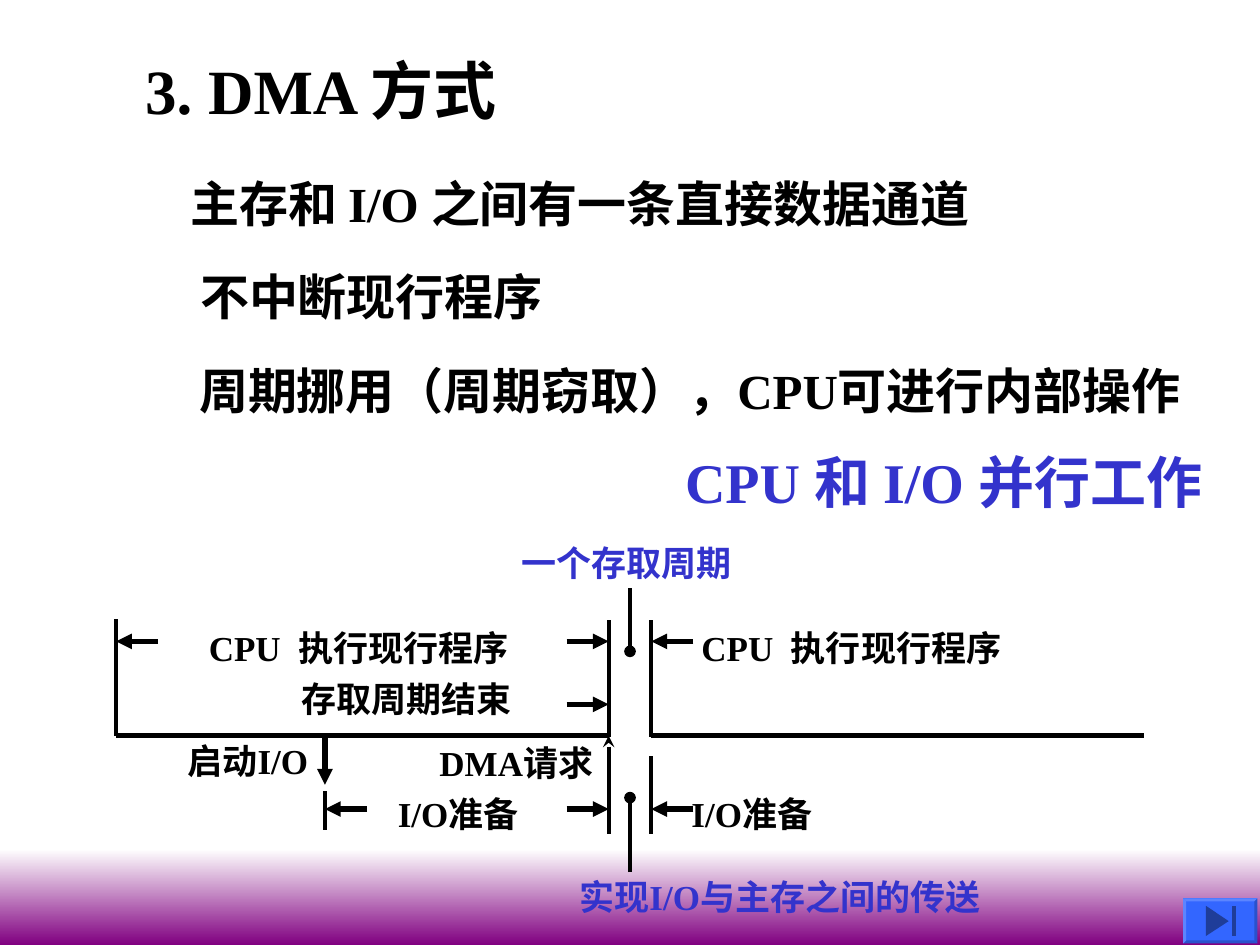
import lxml.etree
import pptx
import pptx.dml.color
import pptx.enum.shapes
import pptx.enum.text
import pptx.oxml.ns
import pptx.util

Cm = pptx.util.Cm
Pt = pptx.util.Pt

THEME = {
    "font": "Times New Roman",
    "ink": "000000", "accent": "3333CC", "band": ("FFFFFF", "800080"),
    "button": "3366FF", "button_light": "5C85FF", "button_dark": "2952CC",
    "button_icon": "1F3D99",
    "title": 36, "conclusion": 32, "body": 28, "label": 20,
    "thick": 3, "thin": 2.25,
}

TITLE = "3. DMA 方式"
POINTS = [
    ("主存和 I/O 之间有一条直接数据通道", 0),
    ("不中断现行程序", 0.2),
    ("周期挪用（周期窃取），CPU可进行内部操作", 0.18),
]
CONCLUSION = "CPU 和 I/O 并行工作"

LABELS = [
    ("存取周期结束", 5.82, 13.54, 4.75, "ink"),
    ("CPU  执行现行程序", 3.96, 12.5, 6.73, "ink"),
    ("CPU  执行现行程序", 13.89, 12.5, 6.73, "ink"),
    ("DMA请求", 8.61, 14.83, 3.78, "ink"),
    ("启动I/O", 3.53, 14.78, 3.1, "ink"),
    ("I/O准备", 7.77, 15.85, 3.1, "ink"),
    ("I/O准备", 13.69, 15.85, 3.1, "ink"),
    ("一个存取周期", 10.26, 10.8, 4.75, "accent"),
    ("实现I/O与主存之间的传送", 11.43, 17.53, 9.09, "accent"),
]

BEGIN, START_IO, REQUEST, CYCLE, RESUME, END = 2.34, 6.55, 12.27, 12.7, 13.13, 23.06
AXIS, CPU_ROW, CYCLE_END_ROW, IO_ROW = 14.83, 12.93, 14.2, 16.31
ARROW = 0.85

HORIZONTALS = [(BEGIN, REQUEST), (RESUME, END)]
VERTICALS = [
    (BEGIN, 12.48, AXIS, {}),
    (REQUEST, 12.5, 14.86, {}),
    (RESUME, 12.5, 14.86, {}),
    (REQUEST, AXIS, 16.81, {"head": "stealth"}),
    (RESUME, 15.24, 16.81, {}),
    (START_IO, 15.95, 16.74, {}),
    (CYCLE, 11.86, 13.13, {"tail": "oval"}),
    (CYCLE, 17.58, 16.08, {"tail": "oval"}),
    (START_IO, 14.78, 15.82, {"tail": "triangle", "width": "thick"}),
]
BOUNDARY_ARROWS = [
    (BEGIN, CPU_ROW, 1), (REQUEST, CPU_ROW, -1), (RESUME, CPU_ROW, 1),
    (REQUEST, CYCLE_END_ROW, -1),
    (START_IO, IO_ROW, 1), (REQUEST, IO_ROW, -1), (RESUME, IO_ROW, 1),
]


def color(name):
    return pptx.dml.color.RGBColor.from_string(THEME.get(name, name))


def write_text(paragraph, text, size="label", ink="ink", indent=0):
    properties = paragraph._p.get_or_add_pPr()
    properties.set("marL", str(Cm(indent)))
    properties.set("indent", "0")
    lxml.etree.SubElement(properties, pptx.oxml.ns.qn("a:buNone"))
    paragraph.alignment = pptx.enum.text.PP_ALIGN.LEFT
    paragraph.space_before = Pt(0)
    run = paragraph.add_run()
    run.text = text
    run.font.name = THEME["font"]
    run.font.size = Pt(THEME[size])
    run.font.bold = True
    run.font.color.rgb = color(ink)


def prepare_frame(shape, wrap=False):
    frame = shape.text_frame
    frame.word_wrap = wrap
    frame.auto_size = pptx.enum.text.MSO_AUTO_SIZE.NONE
    frame.vertical_anchor = pptx.enum.text.MSO_ANCHOR.TOP
    return frame


def place(shape, left, top, width, height):
    shape.left, shape.top = Cm(left), Cm(top)
    shape.width, shape.height = Cm(width), Cm(height)


def add_label(slide, text, left, top, width, height=1.12, **style):
    box = slide.shapes.add_textbox(Cm(left), Cm(top), Cm(width), Cm(height))
    write_text(prepare_frame(box).paragraphs[0], text, **style)


def add_line(slide, x1, y1, x2, y2, width="thin", head=None, tail=None):
    connector = slide.shapes.add_connector(
        pptx.enum.shapes.MSO_CONNECTOR.STRAIGHT, Cm(x1), Cm(y1), Cm(x2), Cm(y2))
    connector.line.color.rgb = color("ink")
    connector.line.width = Pt(THEME[width])
    line = connector.line._get_or_add_ln()
    for tag, kind in (("a:headEnd", head), ("a:tailEnd", tail)):
        if kind:
            lxml.etree.SubElement(line, pptx.oxml.ns.qn(tag), type=kind)
    lxml.etree.SubElement(connector._element.spPr, pptx.oxml.ns.qn("a:effectLst"))


def add_polygon(slide, points, fill):
    corners = [(Cm(x), Cm(y)) for x, y in points]
    builder = slide.shapes.build_freeform(*corners[0], scale=1.0)
    builder.add_line_segments(corners[1:], close=True)
    shape = builder.convert_to_shape()
    shape.shadow.inherit = False
    shape.fill.solid()
    shape.fill.fore_color.rgb = color(fill)
    shape.line.fill.background()


def rectangle(left, top, right, bottom):
    return [(left, top), (right, top), (right, bottom), (left, bottom)]


def add_end_button(slide):
    outer = rectangle(23.85, 18.11, 25.35, 19.02)
    inner = rectangle(23.91, 18.17, 25.29, 18.96)
    add_polygon(slide, outer, "button")
    shades = ["button_light", "button_dark", "button_dark", "button_light"]
    for side, shade in enumerate(shades):
        following = (side + 1) % 4
        add_polygon(slide, [outer[side], outer[following],
                            inner[following], inner[side]], shade)
    add_polygon(slide, [(24.77, 18.57), (24.31, 18.87), (24.31, 18.26)], "button_icon")
    add_polygon(slide, rectangle(24.84, 18.26, 24.92, 18.87), "button_icon")


def add_band(slide):
    band = slide.shapes.add_shape(
        pptx.enum.shapes.MSO_SHAPE.RECTANGLE, 0, Cm(17.12), Cm(25.4), Cm(1.93))
    band.shadow.inherit = False
    band.line.fill.background()
    band.fill.gradient()
    band.fill.gradient_angle = 270
    for stop, shade in zip(band.fill.gradient_stops, THEME["band"]):
        stop.color.rgb = color(shade)


def add_timeline(slide):
    for left, right in HORIZONTALS:
        add_line(slide, left, AXIS, right, AXIS, width="thick")
    for x, start, finish, style in VERTICALS:
        add_line(slide, x, start, x, finish, **style)
    for x, y, side in BOUNDARY_ARROWS:
        add_line(slide, x + side * ARROW, y, x, y, width="thick", tail="triangle")
    for text, left, top, width, ink in LABELS:
        add_label(slide, text, left, top, width, ink=ink)


def main():
    presentation = pptx.Presentation()
    presentation.slide_width, presentation.slide_height = Cm(25.4), Cm(19.05)
    slide = presentation.slides.add_slide(presentation.slide_layouts[1])
    add_band(slide)

    title, body = slide.shapes.title, slide.placeholders[1]
    place(title, 2.67, 0.91, 7.98, 1.78)
    write_text(prepare_frame(title).paragraphs[0], TITLE, size="title")

    place(body, 3.58, 3.35, 21.4, 5.3)
    frame = prepare_frame(body, wrap=True)
    for index, (text, indent) in enumerate(POINTS):
        paragraph = frame.add_paragraph() if index else frame.paragraphs[0]
        write_text(paragraph, text, size="body", indent=indent)
        paragraph.line_spacing = Pt(34)
        paragraph.space_after = Pt(19.6)

    add_label(slide, CONCLUSION, 13.56, 8.89, 11.73, 1.63,
              size="conclusion", ink="accent")
    add_timeline(slide)
    add_end_button(slide)
    presentation.save("out.pptx")


if __name__ == "__main__":
    main()
